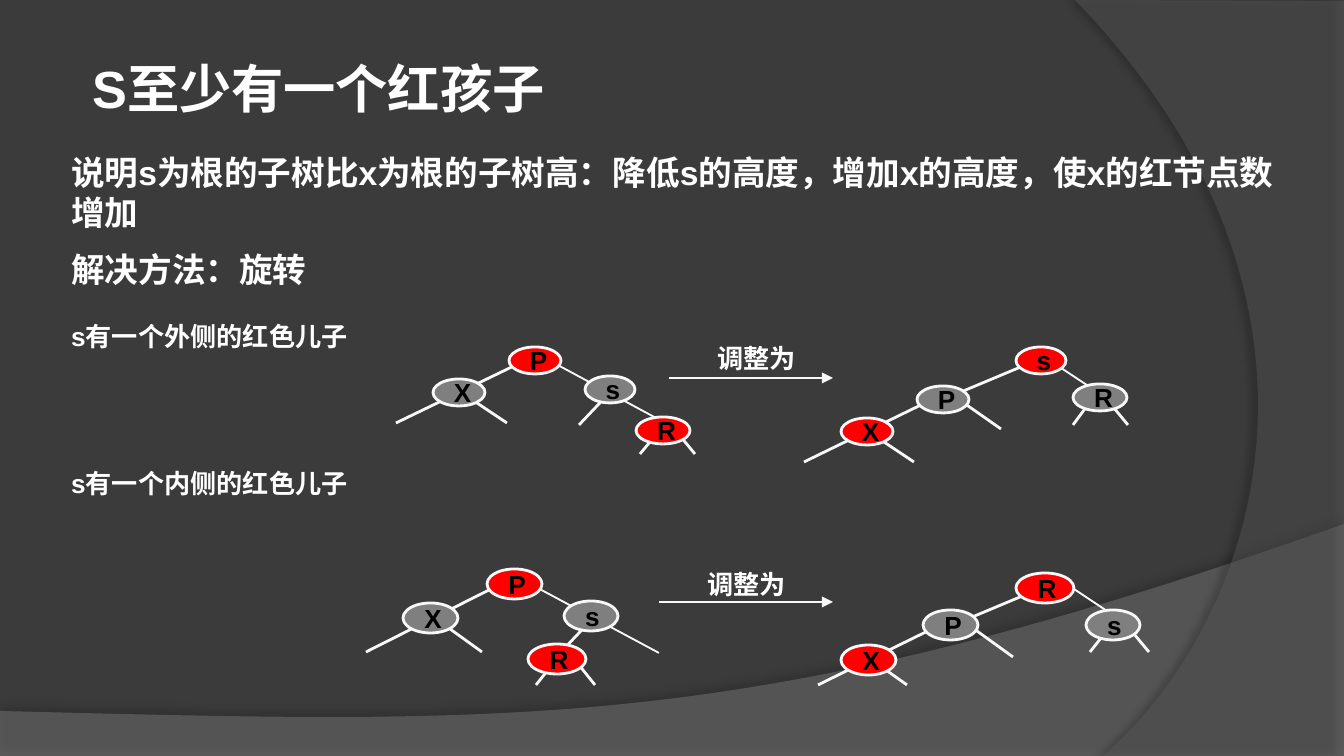
from dataclasses import dataclass

from lxml import etree
from pptx import Presentation
from pptx.dml.color import RGBColor
from pptx.enum.shapes import MSO_CONNECTOR, MSO_SHAPE
from pptx.enum.text import MSO_ANCHOR, PP_ALIGN
from pptx.oxml.ns import qn
from pptx.util import Emu, Pt

STRAIGHT = MSO_CONNECTOR.STRAIGHT
ELLIPSE = MSO_SHAPE.OVAL
MIDDLE = MSO_ANCHOR.MIDDLE
CENTER = PP_ALIGN.CENTER
JUSTIFY = PP_ALIGN.JUSTIFY
EMU_PER_PX = 9144000 / 1344
CURVE_STEPS = 48


@dataclass(frozen=True)
class Theme:
    background: str = "3B3B3B"
    floor: str = "7F7F7F"
    side: str = "5E5E5E"
    shadow: str = "000000"
    text: str = "FFFFFF"
    node_text: str = "000000"
    line: str = "F8F8F8"
    red: str = "FF0000"
    gray: str = "7F7F7F"
    font: str = "Arial"
    label_font: str = "Calibri"
    title_size: float = 28
    body_size: float = 18
    small_size: float = 14
    edge: float = 1.5
    thin_edge: float = 1
    arrow: float = 0.75


THEME = Theme()

OUTER_WIDTHS = {"P": 52, "X": 52, "s": 50, "R": 54}
INNER_WIDTHS = {"P": 55, "X": 55, "s": 54, "R": 58}

OUTER_BEFORE = {
    "nodes": [("P", 509, 347), ("s", 585, 376), ("X", 433, 379), ("R", 636, 417)],
    "red": "PR",
    "edges": [(659, 431, 640, 454), (676, 431, 695, 454), (616, 386, 579, 425),
              (465, 395, 507, 423), (520, 363, 396, 423)],
    "thin": (554, 363, 669, 425),
}
OUTER_AFTER = {
    "nodes": [("P", 917, 386), ("s", 1016, 347), ("X", 841, 418), ("R", 1073, 384)],
    "red": "sX",
    "edges": [(961, 401, 1001, 429), (1090, 402, 1073, 425), (1109, 402, 1128, 425),
              (1047, 356, 961, 392), (872, 434, 914, 462), (927, 402, 804, 462)],
    "thin": (1052, 362, 1102, 395),
}
INNER_BEFORE = {
    "nodes": [("P", 487, 569), ("s", 564, 601), ("X", 403, 603), ("R", 528, 644)],
    "red": "PR",
    "edges": [(556, 660, 536, 685), (575, 660, 595, 685), (599, 612, 560, 653),
              (439, 621, 482, 652), (497, 586, 366, 652)],
    "thin": (534, 586, 659, 653),
}
INNER_AFTER = {
    "nodes": [("P", 923, 610), ("X", 841, 645), ("s", 1086, 610), ("R", 1016, 573)],
    "red": "XR",
    "edges": [(970, 626, 1013, 657), (1109, 628, 1090, 652), (1129, 628, 1149, 652),
              (1063, 579, 970, 618), (876, 663, 907, 685), (934, 628, 818, 685)],
    "thin": (1068, 585, 1122, 621),
}


def px(length):
    return Emu(round(length * EMU_PER_PX))


def color(value):
    return RGBColor.from_string(value)


def add_alpha(color_element, percent):
    etree.SubElement(color_element, qn("a:alpha"), val=str(percent * 1000))


def curve_points(start, first, second, end):
    for step in range(1, CURVE_STEPS + 1):
        t = step / CURVE_STEPS
        u = 1 - t
        yield tuple(u**3 * a + 3 * u * u * t * b + 3 * u * t * t * c + t**3 * d
                    for a, b, c, d in zip(start, first, second, end))


def add_wave(slide, corners, curve, fill, alpha, shadow_alpha, distance, angle):
    points = [*corners[1:], *curve_points(corners[-1], *curve)]
    builder = slide.shapes.build_freeform(*map(px, corners[0]))
    builder.add_line_segments([(px(x), px(y)) for x, y in points], close=True)
    wave = builder.convert_to_shape()
    wave.fill.solid()
    wave.fill.fore_color.rgb = color(fill)
    wave.line.fill.background()
    wave.shadow.inherit = False
    properties = wave._element.spPr
    add_alpha(properties.find(qn("a:solidFill")).find(qn("a:srgbClr")), alpha)
    shadow = etree.SubElement(
        properties.find(qn("a:effectLst")), qn("a:outerShdw"), blurRad=str(Pt(4)),
        dist=str(Pt(distance)), dir=str(angle * 60000), rotWithShape="0")
    add_alpha(etree.SubElement(shadow, qn("a:srgbClr"), val=THEME.shadow), shadow_alpha)


def add_span(para, text, size, ink, font=THEME.font):
    span = para.add_run()
    span.text = text
    span.font.name = font
    span.font.size = Pt(size)
    span.font.bold = True
    span.font.color.rgb = color(ink)


def add_text(slide, frame, lines, size, gap=0, font=THEME.font, align=None):
    box = slide.shapes.add_textbox(*map(px, frame))
    text = box.text_frame
    text.word_wrap = True
    for index, line in enumerate(lines):
        para = text.add_paragraph() if index else text.paragraphs[0]
        para.alignment = align
        if index:
            para.space_before = Pt(gap)
        add_span(para, line, size, THEME.text, font)


def add_line(slide, ends, width):
    line = slide.shapes.add_connector(STRAIGHT, *map(px, ends))
    line.line.color.rgb = color(THEME.line)
    line.line.width = Pt(width)
    etree.SubElement(line._element.spPr, qn("a:effectLst"))
    return line


def add_node(slide, label, frame, fill):
    node = slide.shapes.add_shape(ELLIPSE, *map(px, frame))
    node.shadow.inherit = False
    node.fill.solid()
    node.fill.fore_color.rgb = color(fill)
    node.line.color.rgb = color(THEME.line)
    node.line.width = Pt(THEME.edge)
    text = node.text_frame
    text.margin_top = text.margin_bottom = 0
    text.vertical_anchor = MIDDLE
    para = text.paragraphs[0]
    para.alignment = CENTER
    add_span(para, label, THEME.small_size, THEME.node_text)


def add_tree(slide, tree, widths, height):
    for edge in tree["edges"]:
        add_line(slide, edge, THEME.edge)
    add_line(slide, tree["thin"], THEME.thin_edge)
    for label, left, top in tree["nodes"]:
        fill = THEME.red if label in tree["red"] else THEME.gray
        add_node(slide, label, (left, top, widths[label], height), fill)


def add_step(slide, left, right, y, label_left, label_top):
    arrow = add_line(slide, (left, y, right, y), THEME.arrow)
    etree.SubElement(arrow.line._get_or_add_ln(), qn("a:tailEnd"), type="triangle")
    add_text(slide, (label_left, label_top, 122, 31), ["调整为"], THEME.small_size,
             font=THEME.label_font, align=JUSTIFY)


def main():
    deck = Presentation()
    deck.slide_width, deck.slide_height = px(1344), px(756)
    slide = deck.slides.add_slide(deck.slide_layouts[6])
    slide.background.fill.solid()
    slide.background.fill.fore_color.rgb = color(THEME.background)

    add_wave(slide, [(0, 711), (0, 756), (1344, 756), (1344, 524)],
             [(751, 735), (526, 724), (0, 711)], THEME.floor, 45, 35, 3.5, 270)
    add_wave(slide, [(1344, 1), (1344, 756), (1103, 756)],
             [(1257, 624), (1368, 302), (1075, 0)], THEME.side, 40, 45, 4, 180)

    add_text(slide, (79, 50, 606, 77), ["S至少有一个红孩子"], THEME.title_size)
    add_text(slide, (58, 145, 1238, 156),
             ["说明s为根的子树比x为根的子树高：降低s的高度，增加x的高度，使x的红节点数增加",
              "解决方法：旋转"], THEME.body_size, gap=9)
    add_text(slide, (58, 314, 339, 214),
             ["s有一个外侧的红色儿子", "s有一个内侧的红色儿子"], THEME.small_size, gap=62)

    for tree in (OUTER_BEFORE, OUTER_AFTER):
        add_tree(slide, tree, OUTER_WIDTHS, 27)
    add_step(slide, 669, 833, 378, 704, 336)
    for tree in (INNER_BEFORE, INNER_AFTER):
        add_tree(slide, tree, INNER_WIDTHS, 30)
    add_step(slide, 659, 833, 602, 694, 562)

    deck.save("out.pptx")


if __name__ == "__main__":
    main()
